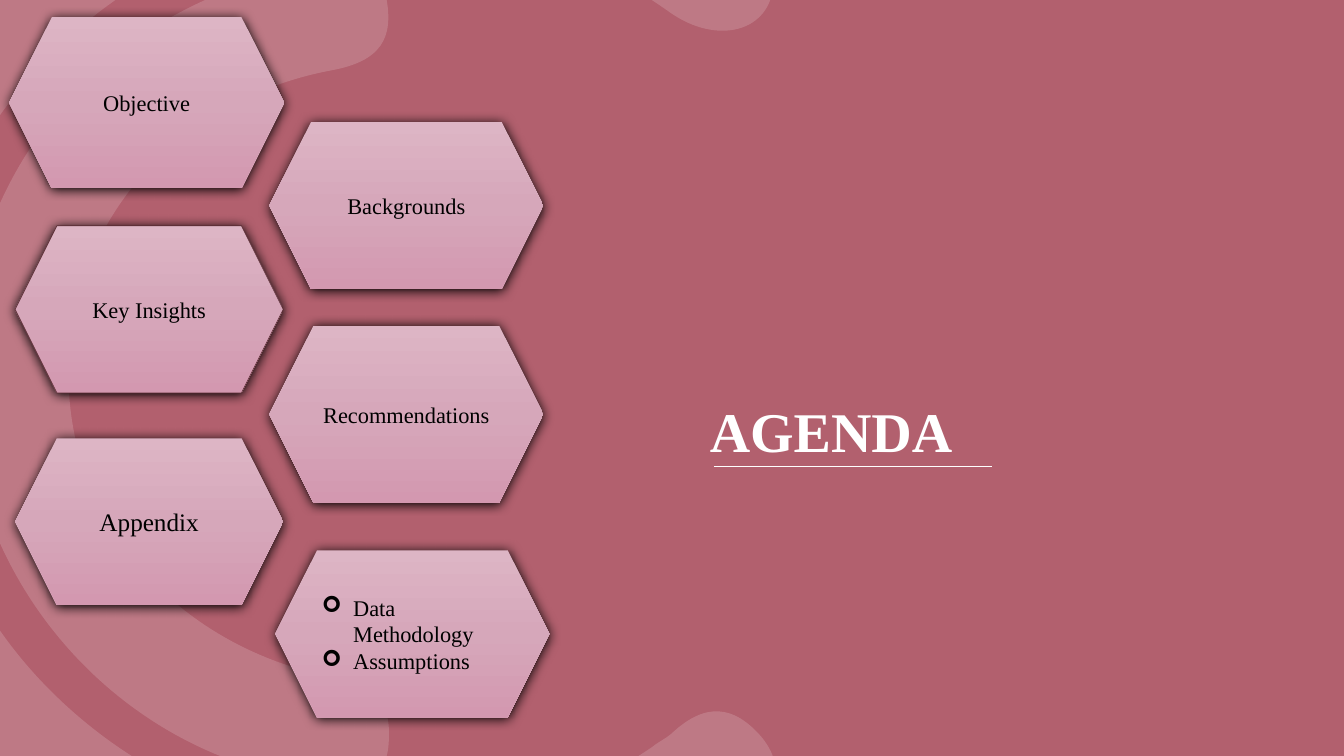
from dataclasses import dataclass

from pptx import Presentation
from pptx import oxml
from pptx import util as u
from pptx.dml.color import RGBColor
from pptx.enum import shapes, text
from pptx.oxml import ns


@dataclass(frozen=True)
class Theme:
    font: str = "Times New Roman"
    bullet_font: str = "Wingdings"
    background: str = "B2606E"
    light: str = "FFFFFF"
    dark: str = "000000"
    outline: str = "5C2D35"
    gradient: tuple = ("DDB5C5", "D6A7BA", "D398B0")
    swirl_opacity: int = 16
    title_size: int = 40
    label_size: int = 16
    large_label_size: int = 18


THEME = Theme()
SLIDE_SIZE = (13.33, 7.5)

# Each swirl is a start point followed by cubic curve segments, in inches
OUTER_SWIRL = ((-1.89, 3.38), [
    (-1.78, 1.51, -0.82, -0.2, 1.19, -1.22), (3.24, -2.24, 5.24, -2.05, 7.14, -0.81),
    (7.38, -0.64, 7.69, -0.49, 7.67, -0.15), (7.64, 0.31, 7.12, 0.46, 6.64, 0.12),
    (4.52, -1.39, 1.73, -1.05, 0.16, 0.93), (-1.24, 2.68, -1.1, 5.19, 0.44, 6.79),
    (2.04, 8.45, 4.57, 8.71, 6.47, 7.41), (6.53, 7.36, 6.62, 7.32, 6.68, 7.26),
    (6.99, 6.98, 7.27, 6.98, 7.56, 7.32), (7.86, 7.7, 7.56, 7.92, 7.29, 8.09),
    (5.81, 9.2, 4.15, 9.54, 2.34, 9.07), (-0.17, 8.43, -1.87, 6.21, -1.89, 3.38),
])
INNER_SWIRL = ((-0.36, 3.72), [
    (-0.36, 1.7, 1.03, 0.06, 3.06, -0.32), (3.37, -0.37, 3.74, -0.49, 3.83, -0.03),
    (3.91, 0.38, 3.78, 0.61, 3.28, 0.7), (1.71, 1, 0.66, 2.25, 0.68, 3.72),
    (0.68, 5.19, 1.75, 6.43, 3.35, 6.73), (3.8, 6.81, 3.89, 7.05, 3.85, 7.43),
    (3.78, 7.88, 3.43, 7.79, 3.13, 7.75), (1.16, 7.49, -0.36, 5.75, -0.36, 3.72),
])

# Text lines, position and size, then any special format
AGENDA = [
    (["Objective"], (0.09, 0.17, 2.73, 1.7), {}),
    (["Backgrounds"], (2.67, 1.21, 2.72, 1.66), {}),
    (["Data Methodology", "Assumptions"], (2.73, 5.46, 2.72, 1.66), {"bullet": "➢"}),
    (["Key Insights"], (0.15, 2.24, 2.66, 1.66), {"outline": THEME.outline}),
    (["Recommendations"], (2.67, 3.23, 2.72, 1.76), {}),
    (["Appendix"], (0.15, 4.35, 2.66, 1.65), {"size": THEME.large_label_size}),
]


def color(value):
    return RGBColor.from_string(value)


def drawing_xml(markup):
    """Parse one DrawingML element, adding its namespace."""
    tag, rest = markup.split(" ", 1)
    return oxml.parse_xml(f"{tag} {ns.nsdecls('a')} {rest}")


def write_text(frame, lines, *, size, ink, bold=False, bullet=None,
               align=text.PP_ALIGN.LEFT, anchor=text.MSO_ANCHOR.MIDDLE, spacing=None):
    frame.word_wrap = True
    frame.auto_size = text.MSO_AUTO_SIZE.NONE
    frame.vertical_anchor = anchor
    for index, line in enumerate(lines):
        paragraph = frame.paragraphs[0] if index == 0 else frame.add_paragraph()
        paragraph.alignment = align
        paragraph.line_spacing = spacing
        if bullet:
            properties = paragraph._p.get_or_add_pPr()
            indent = u.Inches(0.31)
            properties.set("marL", str(indent))
            properties.set("indent", str(-indent))
            properties.append(drawing_xml(f'<a:buFont typeface="{THEME.bullet_font}"/>'))
            properties.append(drawing_xml(f'<a:buChar char="{bullet}"/>'))
        run = paragraph.add_run()
        run.text = line
        run.font.name = THEME.font
        run.font.size = u.Pt(size)
        run.font.bold = bold
        run.font.color.rgb = color(ink)


def paint(shape, tone):
    """Give a shape a flat fill without line or shadow."""
    shape.shadow.inherit = False
    shape.line.fill.background()
    shape.fill.solid()
    shape.fill.fore_color.rgb = color(tone)


def add_backdrop(slide):
    shape = slide.shapes.add_shape(
        shapes.MSO_SHAPE.RECTANGLE, 0, 0, *map(u.Inches, SLIDE_SIZE))
    paint(shape, THEME.background)


def add_swirl(slide, start, segments):
    points = [(u.Inches(x), u.Inches(y)) for segment in segments
              for x, y in zip(segment[::2], segment[1::2])]
    builder = slide.shapes.build_freeform(*map(u.Inches, start))
    builder.add_line_segments(points, close=True)
    shape = builder.convert_to_shape()
    paint(shape, THEME.light)
    properties = shape._element.spPr
    tone = properties.find(ns.qn("a:solidFill"))[0]
    tone.append(drawing_xml(f'<a:alpha val="{THEME.swirl_opacity * 1000}"/>'))

    # Join every three points into one cubic curve
    steps = list(properties.iter(ns.qn("a:lnTo")))
    for first in range(0, len(steps), 3):
        curve = drawing_xml("<a:cubicBezTo />")
        steps[first].addprevious(curve)
        for step in steps[first:first + 3]:
            curve.append(step[0])
            step.getparent().remove(step)


def add_hexagon(slide, lines, box, *, size=THEME.label_size, bullet=None, outline=None):
    shape = slide.shapes.add_shape(shapes.MSO_SHAPE.HEXAGON, *map(u.Inches, box))
    if outline:
        shape.line.color.rgb = color(outline)
        shape.line.width = u.Pt(0.5)
    else:
        shape.line.fill.background()

    # Vertical gradient
    stops = "".join(f'<a:gs pos="{index * 50000}"><a:srgbClr val="{tone}"/></a:gs>'
                    for index, tone in enumerate(THEME.gradient))
    properties = shape._element.spPr
    properties.find(ns.qn("a:prstGeom")).addnext(drawing_xml(
        f'<a:gradFill rotWithShape="1"><a:gsLst>{stops}</a:gsLst>'
        '<a:lin ang="5400000" scaled="0"/></a:gradFill>'))

    # Soft shadow below
    shape.shadow.inherit = False
    properties.find(ns.qn("a:effectLst")).append(drawing_xml(
        f'<a:outerShdw blurRad="{u.Pt(8.5)}" dist="{u.Pt(1)}" dir="5400000" '
        f'algn="ctr" rotWithShape="0"><a:srgbClr val="{THEME.dark}"/></a:outerShdw>'))

    align = text.PP_ALIGN.LEFT if bullet else text.PP_ALIGN.CENTER
    write_text(shape.text_frame, lines, size=size, ink=THEME.dark,
               bullet=bullet, align=align)


def add_rule(slide, left, right, top):
    connector = slide.shapes.add_connector(
        shapes.MSO_CONNECTOR.STRAIGHT, *map(u.Inches, (left, top, right, top)))
    connector.line.color.rgb = color(THEME.light)
    connector.line.width = u.Pt(0.5)
    connector._element.spPr.append(drawing_xml("<a:effectLst />"))


def set_title(slide, wording, box):
    title = slide.shapes.title
    title.left, title.top, title.width, title.height = map(u.Inches, box)
    write_text(title.text_frame, [wording], size=THEME.title_size, ink=THEME.light,
               bold=True, anchor=text.MSO_ANCHOR.BOTTOM, spacing=0.9)
    # Bring the title in front of the backdrop
    slide.shapes._spTree.append(title._element)


def main():
    presentation = Presentation()
    presentation.slide_width, presentation.slide_height = map(u.Inches, SLIDE_SIZE)
    slide = presentation.slides.add_slide(presentation.slide_layouts[5])

    # Backdrop and decoration
    add_backdrop(slide)
    for swirl in (OUTER_SWIRL, INNER_SWIRL):
        add_swirl(slide, *swirl)

    # Title with its rule
    add_rule(slide, 7.08, 9.84, 4.63)
    set_title(slide, "AGENDA", (6.94, 2.37, 5.62, 2.29))

    # Agenda items
    for lines, box, options in AGENDA:
        add_hexagon(slide, lines, box, **options)

    presentation.save("out.pptx")


if __name__ == "__main__":
    main()
